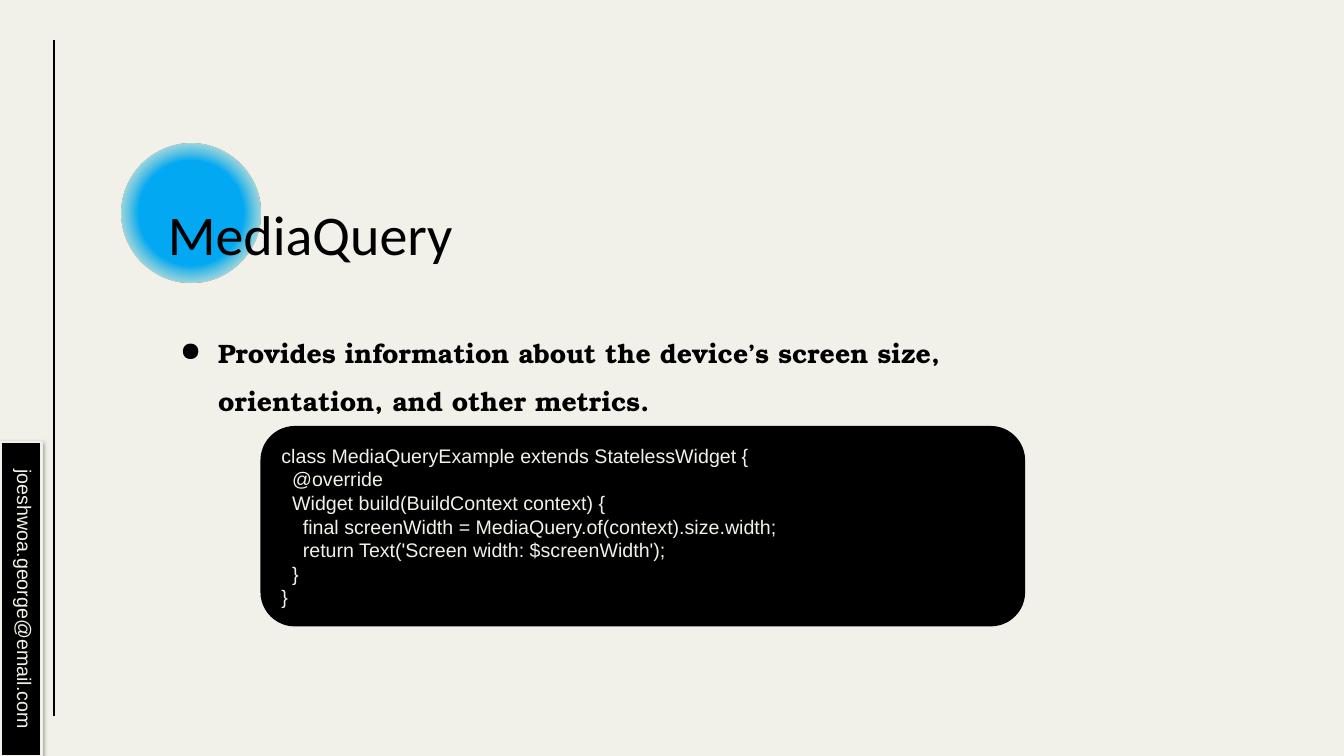
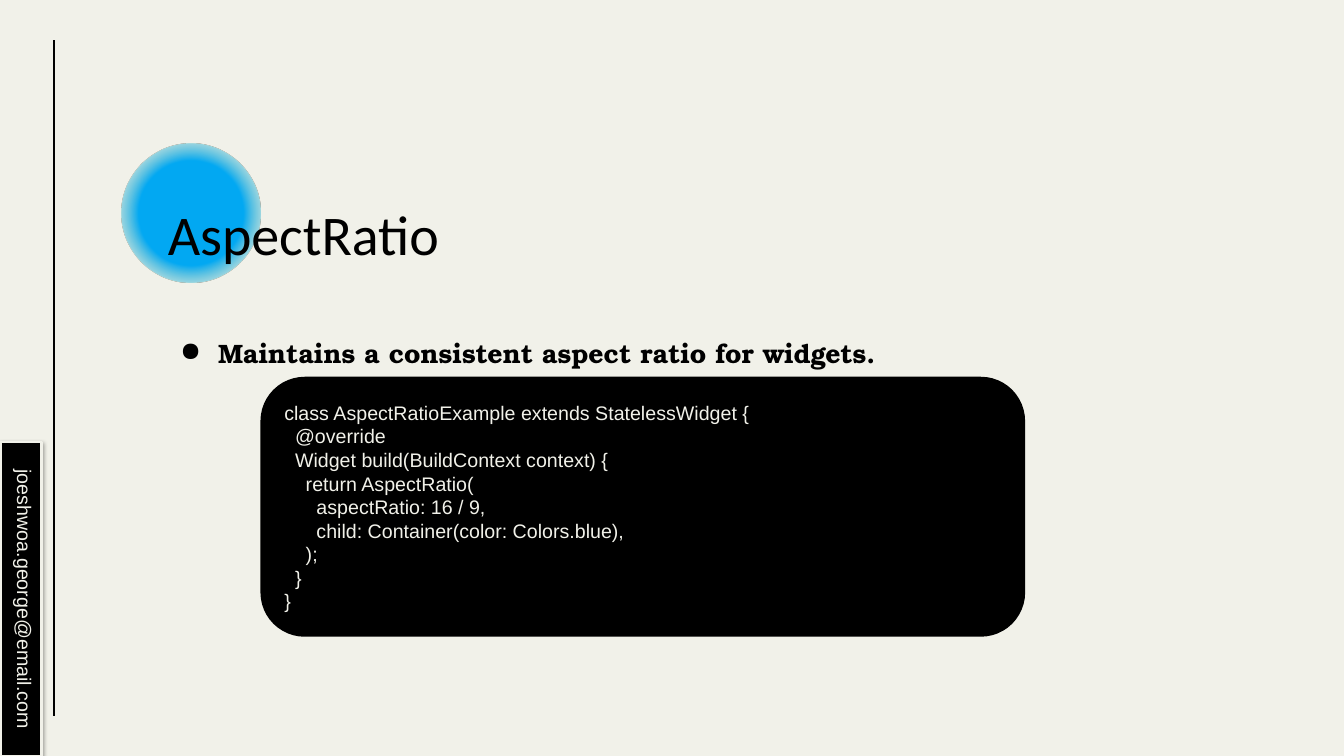
from lxml import etree
from pptx import Presentation
from pptx.dml.color import RGBColor
from pptx.enum.shapes import MSO_CONNECTOR, MSO_SHAPE
from pptx.enum.text import MSO_ANCHOR, PP_ALIGN
from pptx.oxml.ns import qn
from pptx.util import Cm, Pt

STRAIGHT = MSO_CONNECTOR.STRAIGHT
OVAL, RECTANGLE, ROUNDED = MSO_SHAPE.OVAL, MSO_SHAPE.RECTANGLE, MSO_SHAPE.ROUNDED_RECTANGLE
TOP, MIDDLE = MSO_ANCHOR.TOP, MSO_ANCHOR.MIDDLE
LEFT, CENTER = PP_ALIGN.LEFT, PP_ALIGN.CENTER


def color(value):
    return RGBColor.from_string(value)


def add_node(parent, tag, **attributes):
    return etree.SubElement(parent, qn(tag), {name: str(value) for name, value in attributes.items()})


class Deck:
    PAPER, INK, YELLOW, BLUE, WHITE = "F1F1E9", "000000", "FFD966", "03A9F4", "FFFFFF"
    TITLE_FONT, BODY_FONT, CODE_FONT = "Calibri", "TeX Gyre Bonum", "Arial"
    CODE_STEP = Cm(0.27)
    CONTENT_LEFT, CONTENT_WIDTH = 3.89, 23.01
    CONTACT = "joeshwoa.george@email.com"

    def __init__(self):
        self.presentation = Presentation()
        self.presentation.slide_width = Cm(33.87)
        self.presentation.slide_height = Cm(19.05)
        background = self.presentation.slide_master.background.fill
        background.solid()
        background.fore_color.rgb = color(self.PAPER)
        self.slide = None

    def start_slide(self):
        self.slide = self.presentation.slides.add_slide(self.presentation.slide_layouts[6])
        self.side_line()
        for center in (self.YELLOW, self.BLUE):
            self.glow(center)

    def side_line(self):
        line = self.slide.shapes.add_connector(STRAIGHT, Cm(1.37), Cm(1.02), Cm(1.37), Cm(18.03))
        line.line.color.rgb = color(self.INK)
        line.line.width = Pt(1.5)
        add_node(line._element.spPr, "a:effectLst")

    def shape(self, kind, left, top, width, height):
        shape = self.slide.shapes.add_shape(kind, Cm(left), Cm(top), Cm(width), Cm(height))
        shape.shadow.inherit = False
        return shape

    def panel(self, kind, left, top, width, height, outline):
        shape = self.shape(kind, left, top, width, height)
        shape.fill.solid()
        shape.fill.fore_color.rgb = color(self.INK)
        shape.line.color.rgb = color(outline)
        shape.line.width = Pt(2)
        shape.text_frame.word_wrap = True
        return shape

    def glow(self, center):
        shape = self.shape(OVAL, 3.07, 3.63, 3.5, 3.5)
        shape.line.fill.background()
        gradient = etree.Element(qn("a:gradFill"), rotWithShape="1")
        stops = add_node(gradient, "a:gsLst")
        for position, value, alpha in ((0, center, 100), (53, center, 100), (100, self.WHITE, 2)):
            stop = add_node(stops, "a:gs", pos=position * 1000)
            stop_color = add_node(stop, "a:srgbClr", val=value)
            add_node(stop_color, "a:alpha", val=alpha * 1000)
        circle = add_node(gradient, "a:path", path="circle")
        add_node(circle, "a:fillToRect", l=50000, t=50000, r=50000, b=50000)
        shape._element.spPr.find(qn("a:prstGeom")).addnext(gradient)

    def text_box(self, top, height, anchor):
        box = self.slide.shapes.add_textbox(
            Cm(self.CONTENT_LEFT), Cm(top), Cm(self.CONTENT_WIDTH), Cm(height))
        frame = box.text_frame
        frame.word_wrap = True
        frame.vertical_anchor = anchor
        frame.margin_left = frame.margin_right = frame.margin_top = frame.margin_bottom = Cm(0.34)
        return frame

    def add_text(self, paragraph, text, size, font, ink, bold=False, align=LEFT):
        paragraph.alignment = align
        run = paragraph.add_run()
        run.text = text
        run.font.size = Pt(size)
        run.font.name = font
        run.font.bold = bold
        run.font.color.rgb = color(ink)

    def title(self, text):
        frame = self.text_box(4.83, 2.11, MIDDLE)
        self.add_text(frame.paragraphs[0], text, 40, self.TITLE_FONT, self.INK)

    def bullet(self, text):
        paragraph = self.text_box(7.75, 6.93, TOP).paragraphs[0]
        paragraph.line_spacing = 1.5
        self.add_text(paragraph, text, 19, self.BODY_FONT, self.INK, bold=True)
        properties = paragraph._p.get_or_add_pPr()
        properties.set("marL", str(Cm(1.27)))
        properties.set("indent", str(Cm(-0.96)))
        add_node(add_node(properties, "a:buClr"), "a:srgbClr", val=self.INK)
        add_node(properties, "a:buChar", char="●")

    def contact_tab(self):
        tab = self.panel(RECTANGLE, -3.43, 14.58, 7.92, 1.04, self.PAPER)
        tab.rotation = 90
        effects = tab._element.spPr.find(qn("a:effectLst"))
        shadow = add_node(effects, "a:outerShdw", blurRad=Pt(3.1), dist=Pt(1.6),
                          dir=90 * 60000, rotWithShape=0)
        add_node(add_node(shadow, "a:srgbClr", val=self.INK), "a:alpha", val=38000)
        tab.text_frame.vertical_anchor = TOP
        self.add_text(tab.text_frame.paragraphs[0], self.CONTACT, 14, self.CODE_FONT, self.PAPER, align=CENTER)

    def code(self, top, height, lines):
        frame = self.panel(ROUNDED, 6.6, top, 19.2, height, self.INK).text_frame
        frame.vertical_anchor = MIDDLE
        for index, (level, text) in enumerate(lines):
            paragraph = frame.add_paragraph() if index else frame.paragraphs[0]
            self.add_text(paragraph, text, 14, self.CODE_FONT, self.PAPER)
            paragraph._p.get_or_add_pPr().set("marL", str(level * self.CODE_STEP))

    def widget_slide(self, name, summary, code_top, code_height, body):
        self.start_slide()
        self.title(name)
        self.bullet(summary)
        self.contact_tab()
        self.code(code_top, code_height, [
            (0, f"class {name}Example extends StatelessWidget {{"),
            (1, "@override"),
            (1, "Widget build(BuildContext context) {"),
            *body,
            (1, "}"),
            (0, "}"),
        ])


def main():
    deck = Deck()
    deck.widget_slide(
        "MediaQuery",
        "Provides information about the device’s screen size, orientation, and other metrics.",
        10.77, 4.98,
        [(2, "final screenWidth = MediaQuery.of(context).size.width;"),
         (2, "return Text('Screen width: $screenWidth');")])
    deck.widget_slide(
        "AspectRatio",
        "Maintains a consistent aspect ratio for widgets.",
        9.53, 6.48,
        [(2, "return AspectRatio("),
         (3, "aspectRatio: 16 / 9,"),
         (3, "child: Container(color: Colors.blue),"),
         (2, ");")])
    deck.presentation.save("out.pptx")


if __name__ == "__main__":
    main()
